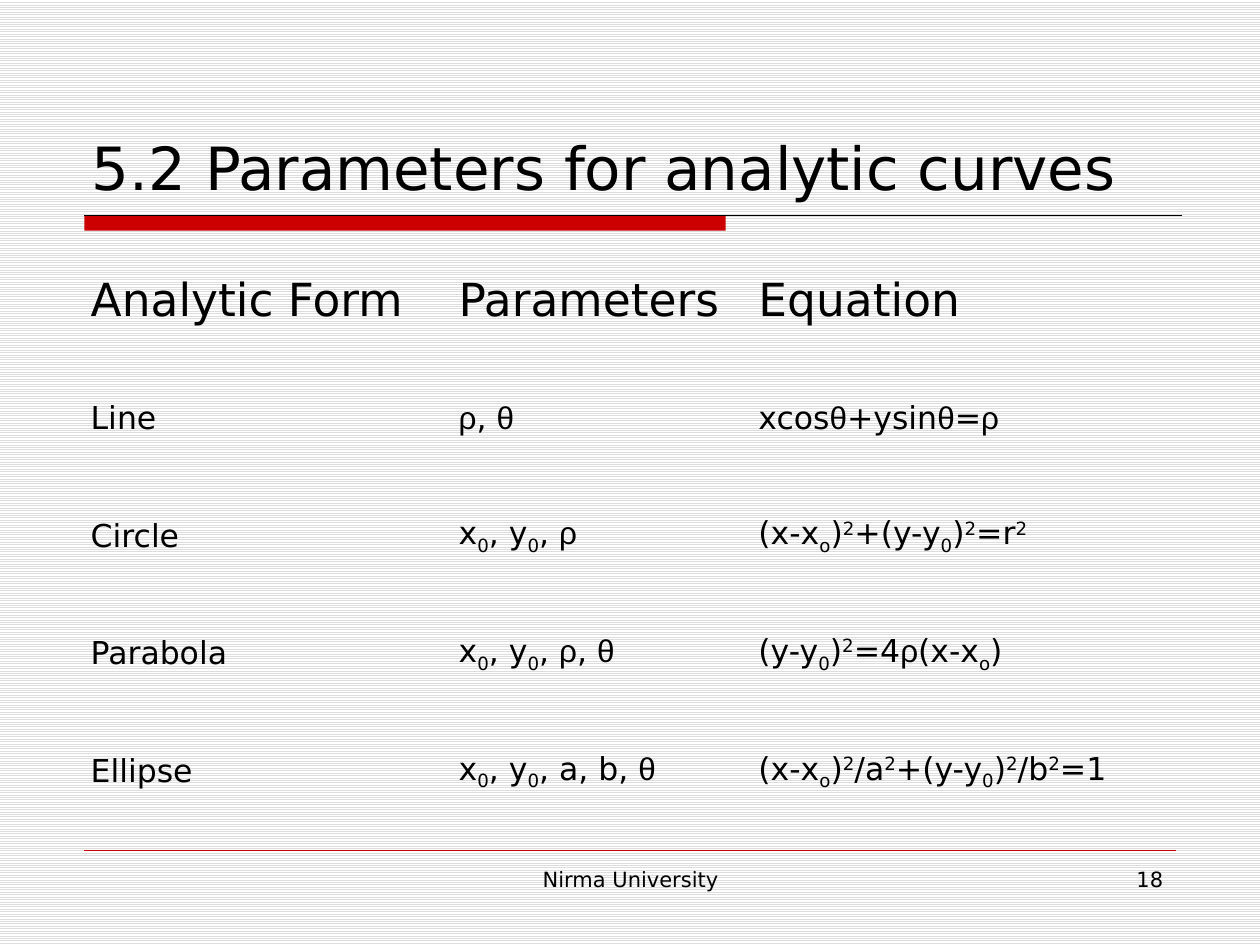
from itertools import groupby

from lxml import etree
from pptx import Presentation
from pptx.dml.color import RGBColor
from pptx.enum.dml import MSO_PATTERN
from pptx.enum.shapes import MSO_CONNECTOR, MSO_SHAPE
from pptx.enum.text import MSO_ANCHOR, MSO_AUTO_SIZE, PP_ALIGN
from pptx.oxml.ns import qn
from pptx.util import Inches, Pt

LEFT, CENTER, RIGHT = PP_ALIGN.LEFT, PP_ALIGN.CENTER, PP_ALIGN.RIGHT
MIDDLE, BOTTOM = MSO_ANCHOR.MIDDLE, MSO_ANCHOR.BOTTOM
COLORS = {"text": "000000", "accent": "CC0000", "stripe": "DDDDDD", "paper": "FFFFFF"}
FONT, GREEK_FONT, GREEK = "DejaVu Sans", "Arial", "ρθ"
BASELINES = {"_": "-25000", "^": "30000"}
NO_GRID_STYLE = "{2D5ABB26-0587-4C30-8999-92F81FD0307C}"
COLUMN_WIDTHS = [2.92, 2.38, 3.33]
ROWS = [
    ["Analytic Form", "Parameters", "Equation"],
    ["Line", "ρ, θ", "xcosθ+ysinθ=ρ"],
    ["Circle", "x_0, y_0, ρ", "(x-x_o)^2+(y-y_0)^2=r^2"],
    ["Parabola", "x_0, y_0, ρ, θ", "(y-y_0)^2=4ρ(x-x_o)"],
    ["Ellipse", "x_0, y_0, a, b, θ", "(x-x_o)^2/a^2+(y-y_0)^2/b^2=1"],
]


def rgb(name):
    """Return the named colour."""
    return RGBColor.from_string(COLORS[name])


def style_run(r, size, font=FONT):
    """Set the font, size and colour of a run."""
    r.font.name, r.font.size = font, Pt(size)
    r.font.color.rgb = rgb("text")


def write_formula(p, formula, size):
    """Write text in which _ lowers and ^ raises the next character."""
    chars, mark = [], None
    for char in formula:
        if char in BASELINES:
            mark = char
        else:
            chars.append((char, mark, GREEK_FONT if char in GREEK else FONT))
            mark = None
    for (mark, font), group in groupby(chars, key=lambda c: c[1:]):
        r = p.add_run()
        r.text = "".join(c[0] for c in group)
        style_run(r, size, font)
        if mark:
            r.font._element.set("baseline", BASELINES[mark])


def add_rule(s, x1, x2, y, color, width):
    """Draw a horizontal line without shadow."""
    line = s.shapes.add_connector(
        MSO_CONNECTOR.STRAIGHT, Inches(x1), Inches(y), Inches(x2), Inches(y))
    line.line.color.rgb = rgb(color)
    line.line.width = Pt(width)
    etree.SubElement(line._element.spPr, qn("a:effectLst"))


def add_title(s, x, y, w, h, text):
    """Place the title with the accent bar and rule beneath it."""
    sp = s.shapes.title
    sp.left, sp.top, sp.width, sp.height = map(Inches, (x, y, w, h))
    tf = sp.text_frame
    tf.text = text
    tf.auto_size = MSO_AUTO_SIZE.NONE
    tf.vertical_anchor = BOTTOM
    p = tf.paragraphs[0]
    p.alignment = LEFT
    style_run(p.runs[0], 34)
    rule_x, rule_y = x + 0.04, y + h + 0.05
    bar = s.shapes.add_shape(
        MSO_SHAPE.RECTANGLE, Inches(rule_x), Inches(rule_y), Inches(5.09), Inches(0.12))
    bar.shadow.inherit = False
    bar.fill.solid()
    bar.fill.fore_color.rgb = rgb("accent")
    bar.line.fill.background()
    add_rule(s, rule_x, x + w, rule_y, "text", 0.75)


def add_curve_table(s, x, y, w, h):
    """Place the table of curves, parameters and equations."""
    table = s.shapes.add_table(
        len(ROWS), len(COLUMN_WIDTHS), Inches(x), Inches(y), Inches(w), Inches(h)).table
    table.first_row = table.horz_banding = False
    table._tbl.tblPr.find(qn("a:tableStyleId")).text = NO_GRID_STYLE
    for column, width in zip(table.columns, COLUMN_WIDTHS):
        column.width = Inches(width)
    for i, row in enumerate(ROWS):
        size = 18 if i else 26
        for j, formula in enumerate(row):
            cell = table.cell(i, j)
            cell.fill.background()
            cell.vertical_anchor = MIDDLE
            p = cell.text_frame.paragraphs[0]
            p.space_before = Pt(size * 0.2)
            write_formula(p, formula, size)


def add_footer_text(s, x, y, w, h, text, align):
    """Place one footer text."""
    tf = s.shapes.add_textbox(Inches(x), Inches(y), Inches(w), Inches(h)).text_frame
    tf.word_wrap = True
    tf.text = text
    p = tf.paragraphs[0]
    p.alignment = align
    style_run(p.runs[0], 12)


def add_footer(s, x, y, w):
    """Place the footer rule, the centred name and the page number."""
    add_rule(s, x, x + w, y, "accent", 0.25)
    add_footer_text(s, 3.42, y + 0.08, 3.17, 0.52, "Nirma University", CENTER)
    add_footer_text(s, x + w - 2.17, y + 0.08, 2.17, 0.52, "18", RIGHT)


def main():
    """Build and save the slide."""
    prs = Presentation()
    prs.slide_width, prs.slide_height = Inches(10), Inches(7.5)
    s = prs.slides.add_slide(prs.slide_layouts[5])
    fill = s.background.fill
    fill.patterned()
    fill.pattern = MSO_PATTERN.LIGHT_HORIZONTAL
    fill.fore_color.rgb = rgb("stripe")
    fill.back_color.rgb = rgb("paper")
    add_title(s, 0.63, 0.33, 8.75, 1.33, "5.2 Parameters for analytic curves")
    add_curve_table(s, 0.62, 1.92, sum(COLUMN_WIDTHS), 4.67)
    add_footer(s, 0.67, 6.75, 8.66)
    prs.save("out.pptx")


if __name__ == "__main__":
    main()
